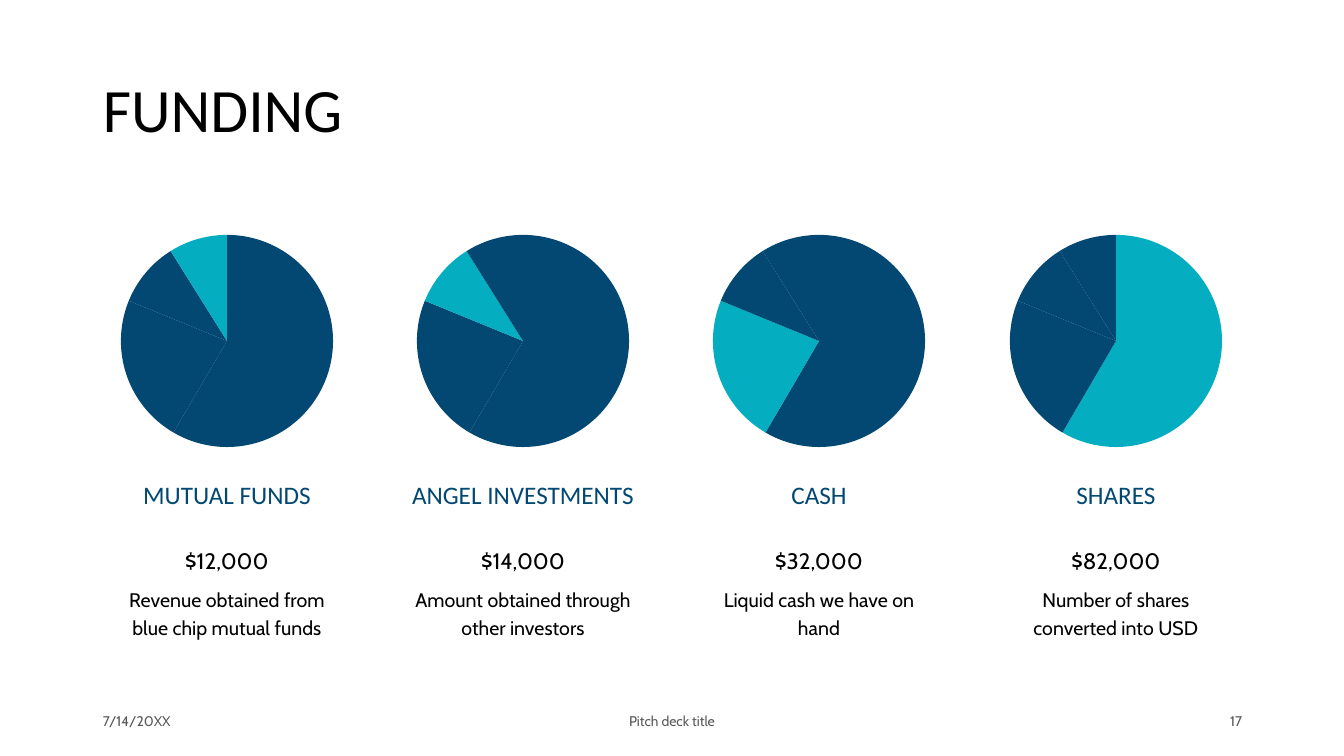
from pptx import Presentation
from pptx.chart.data import CategoryChartData
from pptx.dml.color import RGBColor
from pptx.enum.chart import XL_CHART_TYPE
from pptx.enum.text import MSO_ANCHOR, PP_ALIGN
from pptx.util import Emu, Pt

NAVY = RGBColor(0x02, 0x48, 0x73)
TEAL = RGBColor(0x04, 0xAD, 0xBF)
BLACK = RGBColor(0x00, 0x00, 0x00)
GRAY = RGBColor(0x59, 0x59, 0x59)
WHITE = RGBColor(0xFF, 0xFF, 0xFF)

SHARES = (59, 23, 10, 9)
SOURCES = [
    ("MUTUAL FUNDS", "$12,000", "Revenue obtained from blue chip mutual funds"),
    ("ANGEL INVESTMENTS", "$14,000", "Amount obtained through other investors"),
    ("CASH", "$32,000", "Liquid cash we have on hand"),
    ("SHARES", "$82,000", "Number of shares converted into USD"),
]


def px(n):
    """Turn whole pixels into EMU."""
    return Emu(round(n * 914400 / 100.8))


def add_text(s, text, x, y, w, h, *, size, font="Cabin", color=BLACK,
             align=PP_ALIGN.LEFT, anchor=MSO_ANCHOR.TOP, spacing=None):
    """Add one formatted paragraph in a text box."""
    tf = s.shapes.add_textbox(px(x), px(y), px(w), px(h)).text_frame
    tf.word_wrap = True
    tf.vertical_anchor = anchor
    p = tf.paragraphs[0]
    p.alignment = align
    p.line_spacing = spacing
    r = p.add_run()
    r.text = text
    r.font.size = Pt(size)
    r.font.name = font
    r.font.color.rgb = color


def add_pie(s, x, y, w, h, highlight):
    """Add a pie of all sources with one slice highlighted."""
    data = CategoryChartData()
    data.categories = [str(n + 1) for n in range(len(SHARES))]
    data.add_series("Series 1", SHARES)
    chart = s.shapes.add_chart(
        XL_CHART_TYPE.PIE, px(x), px(y), px(w), px(h), data).chart
    chart.has_legend = False
    chart.has_title = False
    chart.font.name = "Cabin"
    chart.font.size = Pt(10)
    chart.font.color.rgb = BLACK
    plot = chart.plots[0]
    plot.vary_by_categories = True
    for n in range(len(SHARES)):
        fmt = plot.series[0].points[n].format
        fmt.fill.solid()
        fmt.fill.fore_color.rgb = TEAL if n == highlight else NAVY
        fmt.line.fill.background()


def add_source(s, x, y, w, source, highlight):
    """Place a pie with its heading, amount and description below."""
    heading, amount, detail = source
    add_pie(s, x, y, w, 240, highlight)
    add_text(s, heading, x, y + 257, w, 60, size=18, font="Calibri",
             color=NAVY, align=PP_ALIGN.CENTER, spacing=0.9)
    add_text(s, amount, x, y + 320, w, 30, size=16,
             align=PP_ALIGN.CENTER, spacing=Pt(20))
    add_text(s, detail, x, y + 357, w, 81, size=14,
             align=PP_ALIGN.CENTER, spacing=Pt(20))


def add_sources(s, x, y, w, h):
    """Spread the funding sources evenly across the box."""
    col = 252
    last = len(SOURCES) - 1
    for i, source in enumerate(SOURCES):
        add_source(s, x + i * (w - col) // last, y, col, source, last - i)


def add_footer(s, x, y, w, h):
    """Place date, deck title and page number in one row."""
    side, mid = 302, 454
    for text, left, width, align in (
            ("7/14/20XX", x, side, PP_ALIGN.LEFT),
            ("Pitch deck title", x + (w - mid) // 2, mid, PP_ALIGN.CENTER),
            ("17", x + w - side, side, PP_ALIGN.RIGHT)):
        add_text(s, text, left, y, width, h, size=10, color=GRAY,
                 align=align, anchor=MSO_ANCHOR.MIDDLE)


def main():
    """Build the funding slide."""
    prs = Presentation()
    prs.slide_width, prs.slide_height = px(1344), px(756)
    s = prs.slides.add_slide(prs.slide_layouts[6])
    s.background.fill.solid()
    s.background.fill.fore_color.rgb = WHITE
    add_text(s, "FUNDING", 93, 40, 1159, 146, size=44, font="Calibri",
             anchor=MSO_ANCHOR.MIDDLE, spacing=0.9)
    add_sources(s, 101, 221, 1141, 438)
    add_footer(s, 93, 701, 1159, 40)
    prs.save("out.pptx")


if __name__ == "__main__":
    main()
